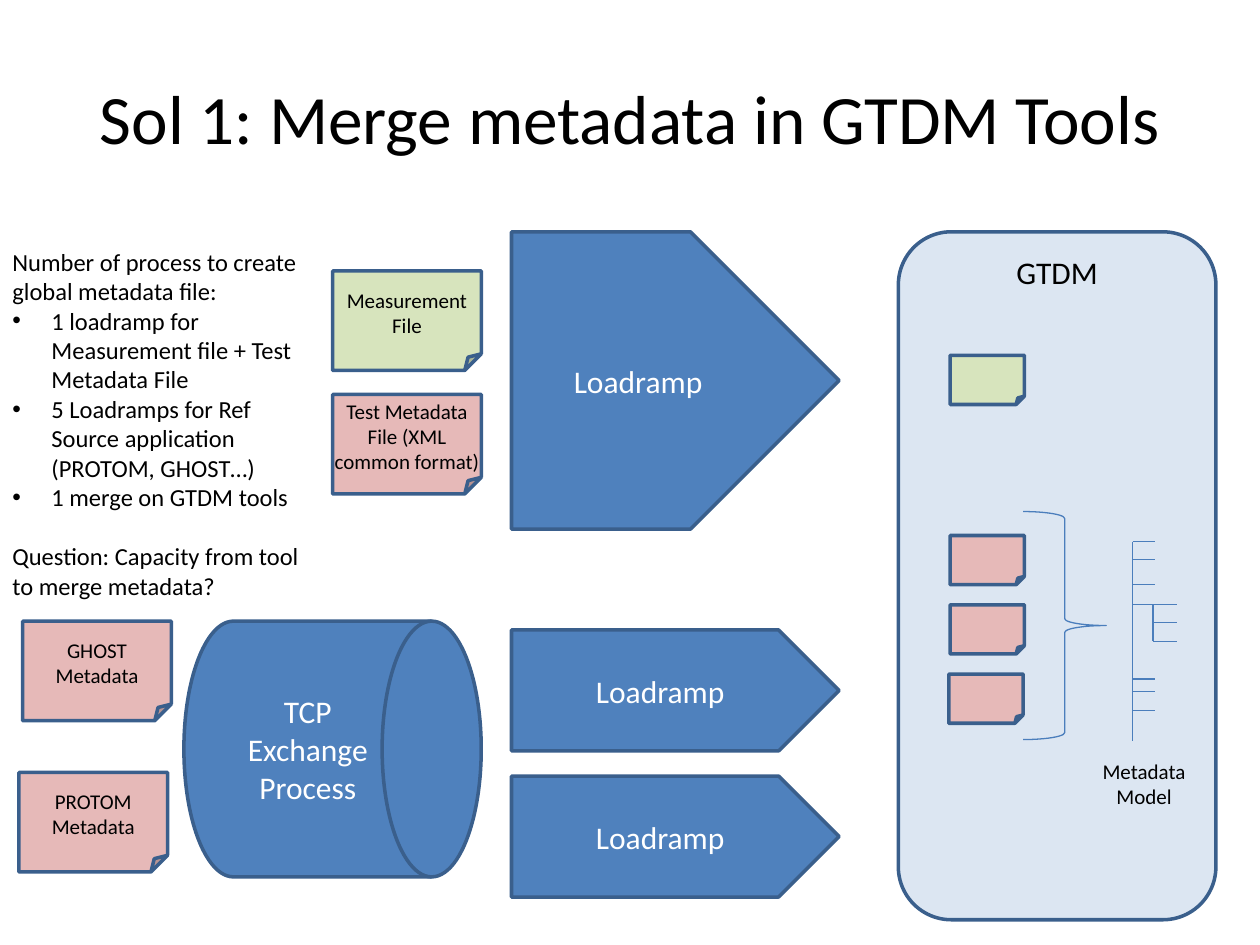
from lxml.etree import SubElement
from pptx import Presentation
from pptx.dml.color import RGBColor
from pptx.enum.shapes import MSO_CONNECTOR, MSO_SHAPE as SHAPE
from pptx.enum.text import MSO_ANCHOR as ANCHOR, PP_ALIGN as ALIGN
from pptx.oxml.ns import qn
from pptx.util import Inches, Pt

FONT = "Calibri"
COLORS = {
    "black": "000000", "white": "FFFFFF", "blue": "4F81BD", "pale": "DCE6F2",
    "green": "D7E4BD", "pink": "E6B9B8", "edge": "3A5F8C", "branch": "4B7EBC",
}
COLS, ROWS = 100, 75

TITLE = "Sol 1: Merge metadata in GTDM Tools"
INTRO = "Number of process to create global metadata file:"
STEPS = [
    "1 loadramp for Measurement file + Test Metadata File",
    "5 Loadramps for Ref Source application (PROTOM, GHOST…)",
    "1 merge on GTDM tools",
]
QUESTION = "Question: Capacity from tool to merge metadata?"

FILE_SIZE = (11.8, 7.9)
FILES = [
    ("Measurement File", 26.4, 21.5, "green"),
    ("Test Metadata File (XML common format)", 26.4, 31.3, "pink"),
    ("GHOST\nMetadata", 1.8, 49.3, "pink"),
    ("PROTOM\nMetadata", 1.5, 61.3, "pink"),
]
RAMP_LEFT, RAMP_WIDTH = 40.6, 26
RAMPS = [(18.4, 23.6), (50, 9.6), (61.6, 9.6)]
ICON_SIZE = (5.9, 3.9)
ICONS = [
    (75.4, 28.2, "green"), (75.4, 42.5, "pink"),
    (75.4, 48, "pink"), (75.3, 53.5, "pink"),
]
TREES = [
    (89.9, 91.7, 58.8, [43, 44.4, 46.4, 48, 53.9, 54.9, 56.4]),
    (91.5, 93.4, 50.9, [48, 49.4, 50.9]),
]

prs = Presentation()
prs.slide_width, prs.slide_height = Inches(10), Inches(7.5)
slide = prs.slides.add_slide(prs.slide_layouts[6])
col, row = prs.slide_width / COLS, prs.slide_height / ROWS


def place(x, y, w, h):
    return round(x * col), round(y * row), round(w * col), round(h * row)


def write(sp, text, size, color="black", align=ALIGN.CENTER, anchor=ANCHOR.MIDDLE):
    tf = sp.text_frame
    tf.word_wrap = True
    tf.vertical_anchor = anchor
    tf.text = text
    for p in tf.paragraphs:
        p.alignment = align
        for r in p.runs:
            r.font.name, r.font.size = FONT, Pt(size)
            r.font.color.rgb = RGBColor.from_string(COLORS[color])
    return tf


def add_shape(kind, box, fill=None, line="edge", width=2):
    sp = slide.shapes.add_shape(kind, *place(*box))
    sp.shadow.inherit = False
    if fill:
        sp.fill.solid()
        sp.fill.fore_color.rgb = RGBColor.from_string(COLORS[fill])
    else:
        sp.fill.background()
    sp.line.color.rgb = RGBColor.from_string(COLORS[line])
    sp.line.width = Pt(width)
    return sp


def add_text(box, text, size, **style):
    return write(slide.shapes.add_textbox(*place(*box)), text, size, **style)


def add_branch(x1, y1, x2, y2):
    ends = round(x1 * col), round(y1 * row), round(x2 * col), round(y2 * row)
    cn = slide.shapes.add_connector(MSO_CONNECTOR.STRAIGHT, *ends)
    cn.line.color.rgb = RGBColor.from_string(COLORS["branch"])
    cn.line.width = Pt(0.75)
    SubElement(cn._element.spPr, qn("a:effectLst"))


def add_bullet(p):
    pPr = p._p.get_or_add_pPr()
    pPr.set("marL", str(Inches(0.31)))
    pPr.set("indent", str(-Inches(0.31)))
    SubElement(pPr, qn("a:buFont")).set("typeface", "Arial")
    SubElement(pPr, qn("a:buChar")).set("char", "•")


add_text((5, 3, 90, 12.5), TITLE, 39.6)

for text, x, y, fill in FILES:
    sp = add_shape(SHAPE.FOLDED_CORNER, (x, y, *FILE_SIZE), fill)
    tf = write(sp, text, 12)
    tf.margin_left = tf.margin_right = 0

for y, h in RAMPS:
    sp = add_shape(SHAPE.PENTAGON, (RAMP_LEFT, y, RAMP_WIDTH, h), "blue")
    write(sp, "Loadramp", 18, "white")

drum = add_shape(SHAPE.FLOWCHART_DIRECT_ACCESS_STORAGE, (14.6, 49.3, 23.6, 20.3), "blue")
write(drum, "TCP Exchange Process", 18, "white")

gtdm = add_shape(SHAPE.ROUNDED_RECTANGLE, (71.3, 18.4, 25.2, 54.6), "pale")
write(gtdm, "GTDM", 18, anchor=ANCHOR.TOP)

add_shape(SHAPE.RIGHT_BRACE, (81.2, 40.6, 6.6, 18.1), line="branch", width=0.75)
for x, y, fill in ICONS:
    add_shape(SHAPE.FOLDED_CORNER, (x, y, *ICON_SIZE), fill)

for stem, tip, bottom, levels in TREES:
    add_branch(stem, levels[0], stem, bottom)
    for y in levels:
        add_branch(stem, y, tip, y)
add_text((86.1, 59.7, 9.4, 5), "Metadata Model", 12, anchor=ANCHOR.TOP)

notes = add_text((0, 19.1, 26.6, 29.3), "\n".join([INTRO, *STEPS, QUESTION]), 14,
                 align=ALIGN.LEFT, anchor=ANCHOR.TOP)
for p in notes.paragraphs[1:-1]:
    add_bullet(p)
notes.paragraphs[-1].space_before = Pt(17)

prs.save("out.pptx")
